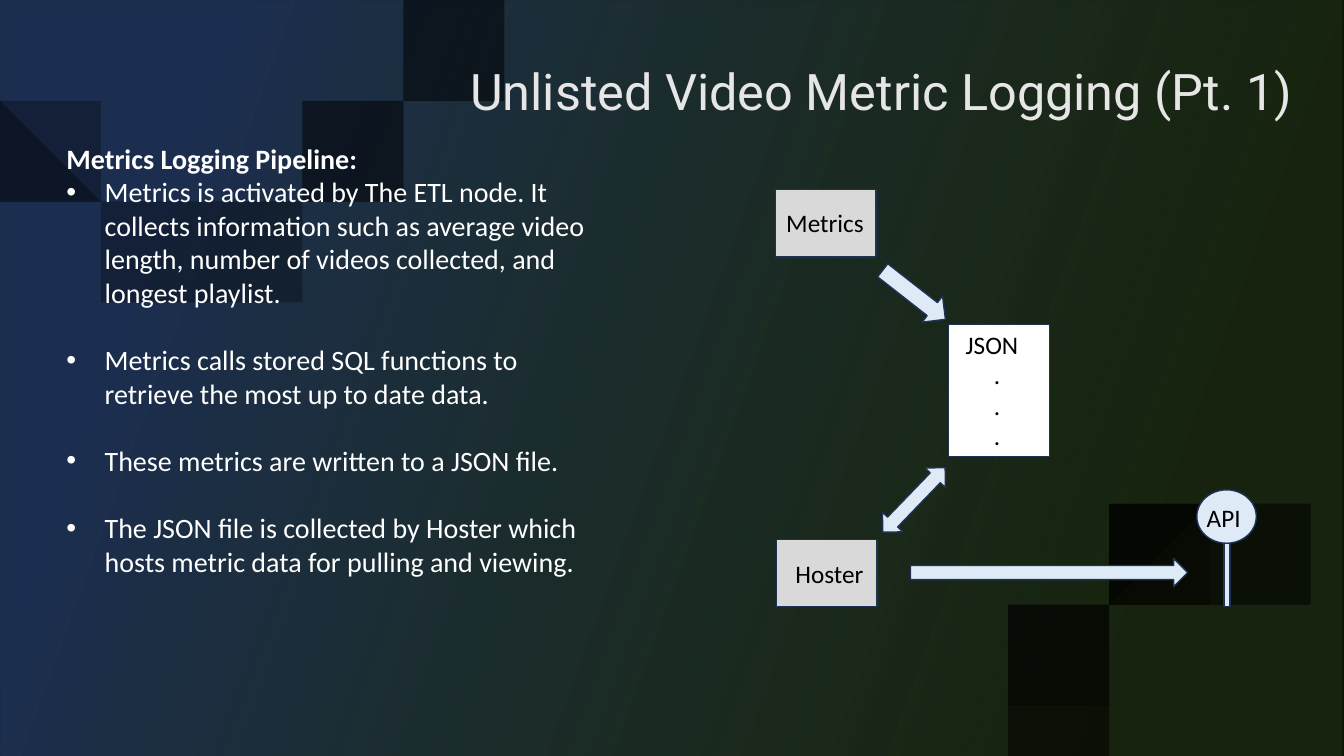
from lxml import etree
from pptx import Presentation
from pptx.dml import color
from pptx.enum import shapes, text
from pptx.oxml import ns
from pptx.util import Inches, Pt

SHAPE = shapes.MSO_SHAPE


def rgb(value):
    return color.RGBColor.from_string(value)


def set_alpha(clr, percent):
    etree.SubElement(clr, ns.qn("a:alpha"), val=str(percent * 1000))


def smooth(points, steps=8):
    ends = [points[0], *points, points[-1]]
    curve = [points[0]]
    for a, b, c, d in zip(ends, ends[1:], ends[2:], ends[3:]):
        for n in range(1, steps + 1):
            t = n / steps
            curve.append(tuple(
                (2 * q + (r - p) * t + (2 * p - 5 * q + 4 * r - s) * t ** 2
                 + (3 * q - p - 3 * r + s) * t ** 3) / 2
                for p, q, r, s in zip(a, b, c, d)))
    return curve


def blend(near, far, start, end, power):
    edge = []
    for i, (a, b) in enumerate(zip(near, far)):
        t = start + (end - start) * (i / (len(near) - 1)) ** power
        edge.append(tuple(p + (q - p) * t for p, q in zip(a, b)))
    return smooth(edge)


class SlideBuilder:
    font = "Calibri"
    outline = "1E3256"
    pale = "DEEBF7"

    def __init__(self, slide):
        self.s = slide
        fill = slide.background.fill
        fill.solid()
        fill.fore_color.rgb = rgb("000000")

    def backdrop(self, width, height, stops, angle):
        sp = self.s.shapes.add_shape(SHAPE.RECTANGLE, 0, 0, width, height)
        sp.shadow.inherit = False
        sp.line.fill.background()
        sp.fill.gradient()
        sp.fill.gradient_angle = angle
        for stop, (position, value, _) in zip(sp.fill.gradient_stops, stops):
            stop.position = position
            stop.color.rgb = rgb(value)
        for clr, (_, _, alpha) in zip(sp._element.iter(ns.qn("a:srgbClr")), stops):
            set_alpha(clr, alpha)

    def ribbon(self, first_edge, second_edge):
        points = first_edge + second_edge[::-1]
        builder = self.s.shapes.build_freeform(*points[0], scale=Inches(1))
        builder.add_line_segments(points[1:], close=True)
        sp = builder.convert_to_shape()
        sp.shadow.inherit = False
        sp.line.fill.background()
        sp.fill.solid()
        sp.fill.fore_color.rgb = rgb("000000")
        set_alpha(next(sp._element.iter(ns.qn("a:srgbClr"))), 30)

    def shape(self, kind, box, fill=pale, rotation=0):
        sp = self.s.shapes.add_shape(kind, *map(Inches, box))
        sp.shadow.inherit = False
        sp.fill.solid()
        sp.fill.fore_color.rgb = rgb(fill)
        sp.line.color.rgb = rgb(self.outline)
        sp.line.width = Pt(1)
        sp.rotation = rotation

    def text(self, box, lines, size=18, value="000000", font=font):
        tf = self.s.shapes.add_textbox(*map(Inches, box)).text_frame
        tf.word_wrap = True
        for i, line in enumerate(lines):
            p = tf.paragraphs[0] if i == 0 else tf.add_paragraph()
            p.text = line
            p.font.size = Pt(size)
            p.font.name = font
            p.font.color.rgb = rgb(value)
        return tf

    def indent(self, p, left, hanging=0):
        pPr = p._p.get_or_add_pPr()
        pPr.set("marL", str(Inches(left)))
        pPr.set("indent", str(-Inches(hanging)))
        return pPr

    def bullet(self, p):
        pPr = self.indent(p, 0.38, 0.38)
        position = pPr.index(pPr.find(ns.qn("a:defRPr")))
        pPr.insert(position, etree.Element(ns.qn("a:buChar"), char="•"))
        pPr.insert(position, etree.Element(ns.qn("a:buFont"), typeface="Arial"))


TOP_SWIRL = (
    [(-0.02, 1.04), (0.75, 1.51), (1.87, 1.86), (2.99, 1.63), (3.84, 0.93),
     (4.36, 0.34), (4.48, -0.01)],
    [(-0.02, 2.1), (0.88, 2.55), (1.9, 2.71), (3.3, 2.44), (4.48, 1.44),
     (5.15, 0.52), (5.27, -0.01)],
    3,
    [((0.64, 0.92), (1, 1)), ((0.33, 0.6), (0.76, 0.94)),
     ((0.12, 0.15), (0.69, 0.92)), ((0, 0), (0.69, 0.92))],
)
BOTTOM_SWIRL = (
    [(9.91, 7.5), (10.39, 6.38), (11.34, 5.34), (12.3, 4.79), (13.34, 4.53)],
    [(10.75, 7.5), (11.12, 6.86), (11.75, 6.27), (12.5, 5.84), (13.34, 5.59)],
    1,
    [((0, 0), (0.07, 0.3)), ((0.04, 0.29), (1, 1)),
     ((0.02, 0.25), (0.31, 0.57)), ((0.04, 0.29), (0.85, 0.88))],
)

PIPELINE = [
    "Metrics Logging Pipeline:",
    "Metrics is activated by The ETL node. It collects information such as average video "
    "length, number of videos collected, and longest playlist.",
    "Metrics calls stored SQL functions to retrieve the most up to date data.",
    "These metrics are written to a JSON file.",
    "The JSON file is collected by Hoster which hosts metric data for pulling and viewing.",
]

NODES = [
    (SHAPE.FLOWCHART_PROCESS, (7.69, 1.88, 1, 0.67), "D9D9D9"),
    (SHAPE.FLOWCHART_PROCESS, (7.7, 5.35, 1, 0.67), "D9D9D9"),
    (SHAPE.FLOWCHART_PROCESS, (9.41, 3.22, 1, 1.31), "FFFFFF"),
    (SHAPE.RECTANGLE, (12.14, 5.24, 0.06, 0.78)),
    (SHAPE.OVAL, (11.87, 4.86, 0.59, 0.53)),
    (SHAPE.RIGHT_ARROW, (8.67, 2.76, 0.79, 0.33), SlideBuilder.pale, 38),
    (SHAPE.RIGHT_ARROW, (9.03, 5.54, 2.75, 0.28)),
    (SHAPE.LEFT_RIGHT_ARROW, (8.62, 4.82, 0.89, 0.28), SlideBuilder.pale, 314),
]

LABELS = [("Metrics", 7.7, 2.01), ("Hoster", 7.79, 5.49), ("API", 11.87, 4.93)]


def main():
    prs = Presentation()
    prs.slide_width, prs.slide_height = Inches(13.33), Inches(7.5)
    b = SlideBuilder(prs.slides.add_slide(prs.slide_layouts[6]))
    b.backdrop(prs.slide_width, prs.slide_height,
               [(0.16, "70AD47", 20), (0.85, "4472C4", 40)], 160)
    for near, far, power, ribbons in (TOP_SWIRL, BOTTOM_SWIRL):
        for edges in ribbons:
            b.ribbon(*(blend(near, far, *edge, power) for edge in edges))

    tf = b.text((2.9, 0.51, 10.14, 0.85), ["Unlisted Video Metric Logging (Pt. 1)"],
                36, "E7E6E6", "Roboto")
    tf.vertical_anchor = text.MSO_ANCHOR.MIDDLE
    tf.margin_right = Inches(0.22)
    tf.paragraphs[0].alignment = text.PP_ALIGN.RIGHT
    tf.paragraphs[0].line_spacing = 0.9

    heading, *steps = b.text((0.56, 1.35, 5.54, 5.82), PIPELINE, 20, "FFFFFF").paragraphs
    heading.font.bold = True
    for i, p in enumerate(steps):
        p.space_before = Pt(24 if i else 0)
        b.bullet(p)

    for node in NODES:
        b.shape(*node)
    for label, left, top in LABELS:
        b.text((left, top, 3, 0.4), [label])
    tf = b.text((9.48, 3.22, 3, 1.31), ["JSON", ".", ".", "."])
    for p in tf.paragraphs[1:]:
        b.indent(p, 0.28)

    prs.save("out.pptx")


if __name__ == "__main__":
    main()
